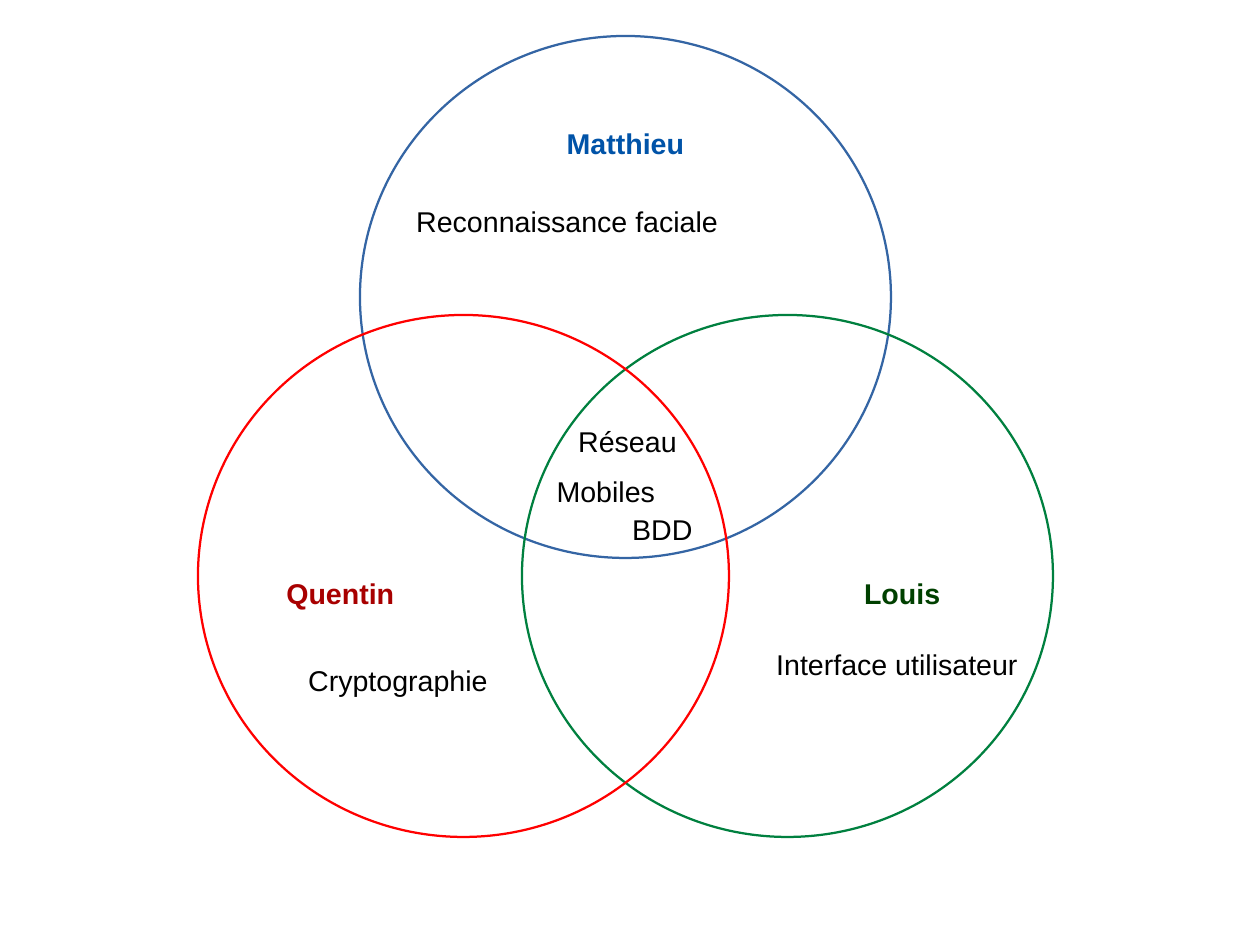
from pptx import Presentation
from pptx.dml.color import RGBColor
from pptx.enum import shapes, text
from pptx.util import Cm, Pt

BLUE_LINE = RGBColor(0x34, 0x65, 0xA4)
GREEN_LINE = RGBColor(0x00, 0x80, 0x3F)
RED_LINE = RGBColor(0xFF, 0x00, 0x00)
BLUE_NAME = RGBColor(0x00, 0x53, 0xA8)
GREEN_NAME = RGBColor(0x00, 0x40, 0x00)
RED_NAME = RGBColor(0xA8, 0x00, 0x00)
BLACK = RGBColor(0x00, 0x00, 0x00)


def write(paragraph, words, color, bold=False):
    span = paragraph.add_run()
    span.text = words
    span.font.name = "Arial"
    span.font.size = Pt(18)
    span.font.bold = bold
    span.font.color.rgb = color


deck = Presentation()
deck.slide_width, deck.slide_height = Cm(28), Cm(21)
page = deck.slides.add_slide(deck.slide_layouts[6])

# Circles, one per person: name, left, top, line, name colour, insets (left, top, right)
circles = [
    ("Matthieu", 8, 0.8, BLUE_LINE, BLUE_NAME, (0, 0.3, 0)),
    ("Louis", 11.6, 7, GREEN_LINE, GREEN_NAME, (5.1, 4.1, 0)),
    ("Quentin", 4.4, 7, RED_LINE, RED_NAME, (0, 4.1, 5.47)),
]
for name, left, top, line_color, name_color, insets in circles:
    circle = page.shapes.add_shape(
        shapes.MSO_SHAPE.OVAL, Cm(left), Cm(top), Cm(11.8), Cm(11.6))
    circle.shadow.inherit = False
    circle.fill.background()
    circle.line.color.rgb = line_color
    circle.line.width = Pt(1.42)
    frame = circle.text_frame
    frame.word_wrap = True
    frame.vertical_anchor = text.MSO_ANCHOR.TOP
    frame.margin_left, frame.margin_top, frame.margin_right = map(Cm, insets)
    para = frame.paragraphs[0]
    para.alignment = text.PP_ALIGN.CENTER
    write(para, name, name_color, bold=True)

# Topics: shared ones in the middle, then one per person (left, top, width)
topics = [
    ("Réseau", 12.6, 9.3, 2.8),
    ("BDD", 13.8, 11.25, 2),
    ("Mobiles", 12.12, 10.4, 2.8),
    ("Reconnaissance faciale", 9, 4.4, 7.4),
    ("Interface utilisateur", 17, 14.25, 6),
    ("Cryptographie", 6.6, 14.6, 4.7),
]
for topic, left, top, width in topics:
    box = page.shapes.add_textbox(Cm(left), Cm(top), Cm(width), Cm(0.97))
    box.text_frame.word_wrap = True
    write(box.text_frame.paragraphs[0], topic, BLACK)

deck.save("out.pptx")
